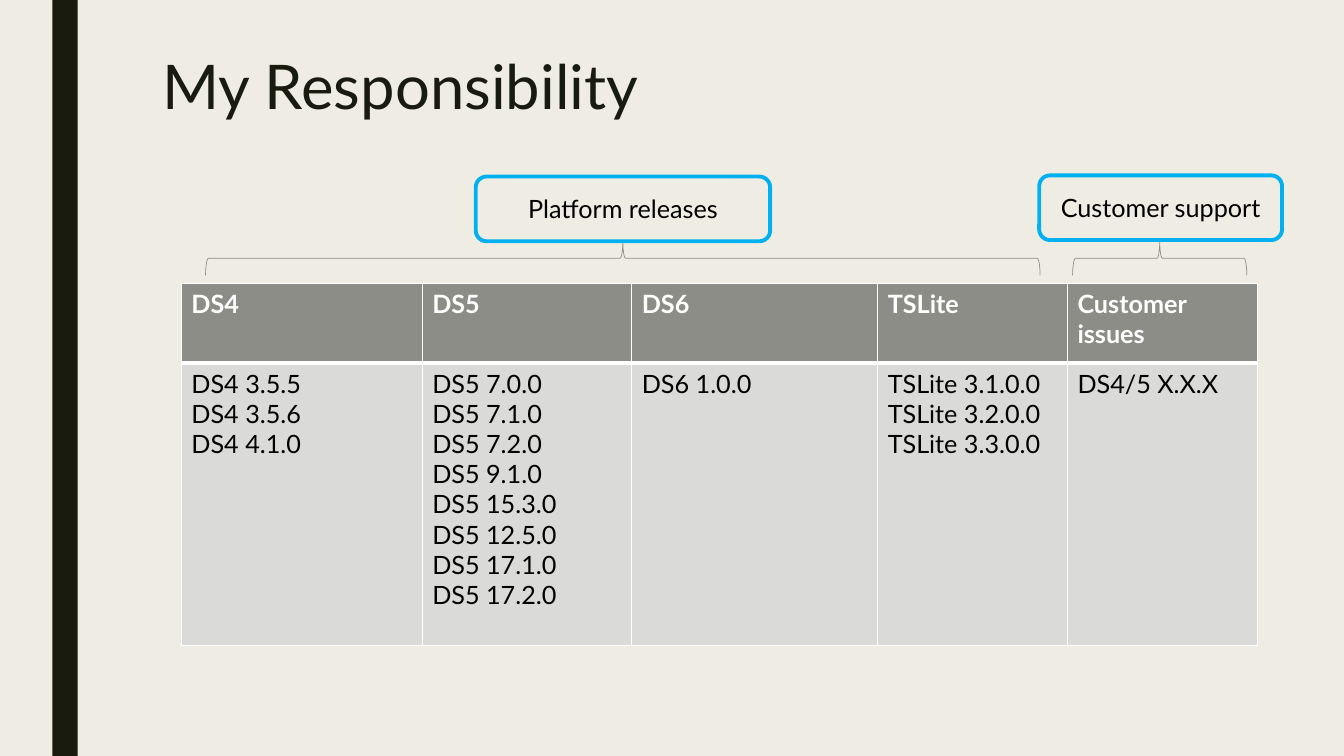
from dataclasses import dataclass

from lxml.etree import SubElement
from pptx import Presentation
from pptx.dml.color import RGBColor
from pptx.enum.shapes import MSO_SHAPE as Shape
from pptx.enum.text import MSO_ANCHOR as Anchor, PP_ALIGN as Align
from pptx.oxml.ns import qn
from pptx.util import Cm, Pt

FONT = "Lato"
COLORS = {
    "background": "EFEDE3",
    "dark": "191B0E",
    "gray": "8C8D86",
    "body": "DADBD9",
    "accent": "00B0F0",
    "white": "FFFFFF",
    "black": "000000",
}


@dataclass
class Column:
    header: str
    width: float
    releases: list[str]


@dataclass
class Group:
    label: str
    left: float
    top: float
    width: float
    brace_left: float
    brace_width: float


COLUMNS = [
    Column("DS4", 6.07, ["DS4 3.5.5", "DS4 3.5.6", "DS4 4.1.0"]),
    Column("DS5", 5.28, ["DS5 7.0.0", "DS5 7.1.0", "DS5 7.2.0", "DS5 9.1.0",
                         "DS5 15.3.0", "DS5 12.5.0", "DS5 17.1.0", "DS5 17.2.0"]),
    Column("DS6", 6.2, ["DS6 1.0.0"]),
    Column("TSLite", 4.78, ["TSLite 3.1.0.0", "TSLite 3.2.0.0", "TSLite 3.3.0.0"]),
    Column("Customer issues", 4.78, ["DS4/5 X.X.X"]),
]
GROUPS = [
    Group("Platform releases", 11.99, 4.45, 7.42, 5.18, 21.03),
    Group("Customer support", 26.19, 4.42, 6.12, 27.03, 4.39),
]
ROW_HEIGHTS = [2.01, 7.11]
LABEL_HEIGHT = 1.63
BRACE_TOP, BRACE_DEPTH = 6.08, 0.86


def rgb(name: str) -> RGBColor:
    return RGBColor.from_string(COLORS[name])


def write(tf, text: str, *, size: float = 18, color: str = "black", bold: bool = False,
          align=Align.LEFT, anchor=None, spacing: float | None = None) -> None:
    tf.word_wrap = True
    if anchor is not None:
        tf.vertical_anchor = anchor
    for i, line in enumerate(text.split("\n")):
        p = tf.add_paragraph() if i else tf.paragraphs[0]
        p.alignment = align
        if spacing:
            p.line_spacing = spacing
        r = p.add_run()
        r.text = line
        r.font.name = FONT
        r.font.size = Pt(size)
        r.font.bold = bold
        r.font.color.rgb = rgb(color)


def add_shape(s, kind, left: float, top: float, width: float, height: float, *,
              fill: str | None = None, line: str | None = None, weight: float = 1):
    sp = s.shapes.add_shape(kind, Cm(left), Cm(top), Cm(width), Cm(height))
    sp.shadow.inherit = False
    if fill:
        sp.fill.solid()
        sp.fill.fore_color.rgb = rgb(fill)
    else:
        sp.fill.background()
    if line:
        sp.line.color.rgb = rgb(line)
        sp.line.width = Pt(weight)
    else:
        sp.line.fill.background()
    return sp


def style_cell(cell, fill: str, borders: dict[str, float]) -> None:
    tc_pr = cell._tc.get_or_add_tcPr()
    for side, weight in borders.items():
        ln = SubElement(tc_pr, qn(f"a:ln{side}"), w=str(Pt(weight)))
        SubElement(SubElement(ln, qn("a:solidFill")), qn("a:srgbClr"), val=COLORS["white"])
    cell.fill.solid()
    cell.fill.fore_color.rgb = rgb(fill)


def add_release_table(s) -> None:
    width = sum(c.width for c in COLUMNS)
    frame = s.shapes.add_table(2, len(COLUMNS), Cm(4.57), Cm(7.14), Cm(width), Cm(sum(ROW_HEIGHTS)))
    table = frame.table
    for row, height in zip(table.rows, ROW_HEIGHTS):
        row.height = Cm(height)
    for i, column in enumerate(COLUMNS):
        table.columns[i].width = Cm(column.width)
        header, body = table.cell(0, i), table.cell(1, i)
        style_cell(header, "gray", {"L": 1, "R": 1, "T": 1, "B": 3})
        style_cell(body, "body", {"L": 1, "R": 1, "T": 3, "B": 1})
        write(header.text_frame, column.header, color="white", bold=True)
        write(body.text_frame, "\n".join(column.releases))


def add_group(s, group: Group) -> None:
    center = group.brace_left + group.brace_width / 2
    middle = BRACE_TOP + BRACE_DEPTH / 2
    brace = add_shape(s, Shape.LEFT_BRACE, center - BRACE_DEPTH / 2, middle - group.brace_width / 2,
                      BRACE_DEPTH, group.brace_width, line="gray", weight=0.5)
    brace.rotation = 90
    label = add_shape(s, Shape.ROUNDED_RECTANGLE, group.left, group.top, group.width, LABEL_HEIGHT,
                      line="accent", weight=2.75)
    write(label.text_frame, group.label, align=Align.CENTER, anchor=Anchor.MIDDLE)


def main() -> None:
    prs = Presentation()
    prs.slide_width, prs.slide_height = Cm(33.87), Cm(19.05)
    s = prs.slides.add_slide(prs.slide_layouts[6])
    s.background.fill.solid()
    s.background.fill.fore_color.rgb = rgb("background")
    add_shape(s, Shape.RECTANGLE, 1.32, 0, 0.64, 19.05, fill="dark")
    title = s.shapes.add_textbox(Cm(3.84), Cm(1.3), Cm(26.67), Cm(2.36))
    write(title.text_frame, "My Responsibility", size=44, color="dark", anchor=Anchor.TOP, spacing=0.89)
    add_release_table(s)
    for group in GROUPS:
        add_group(s, group)
    prs.save("out.pptx")


if __name__ == "__main__":
    main()
